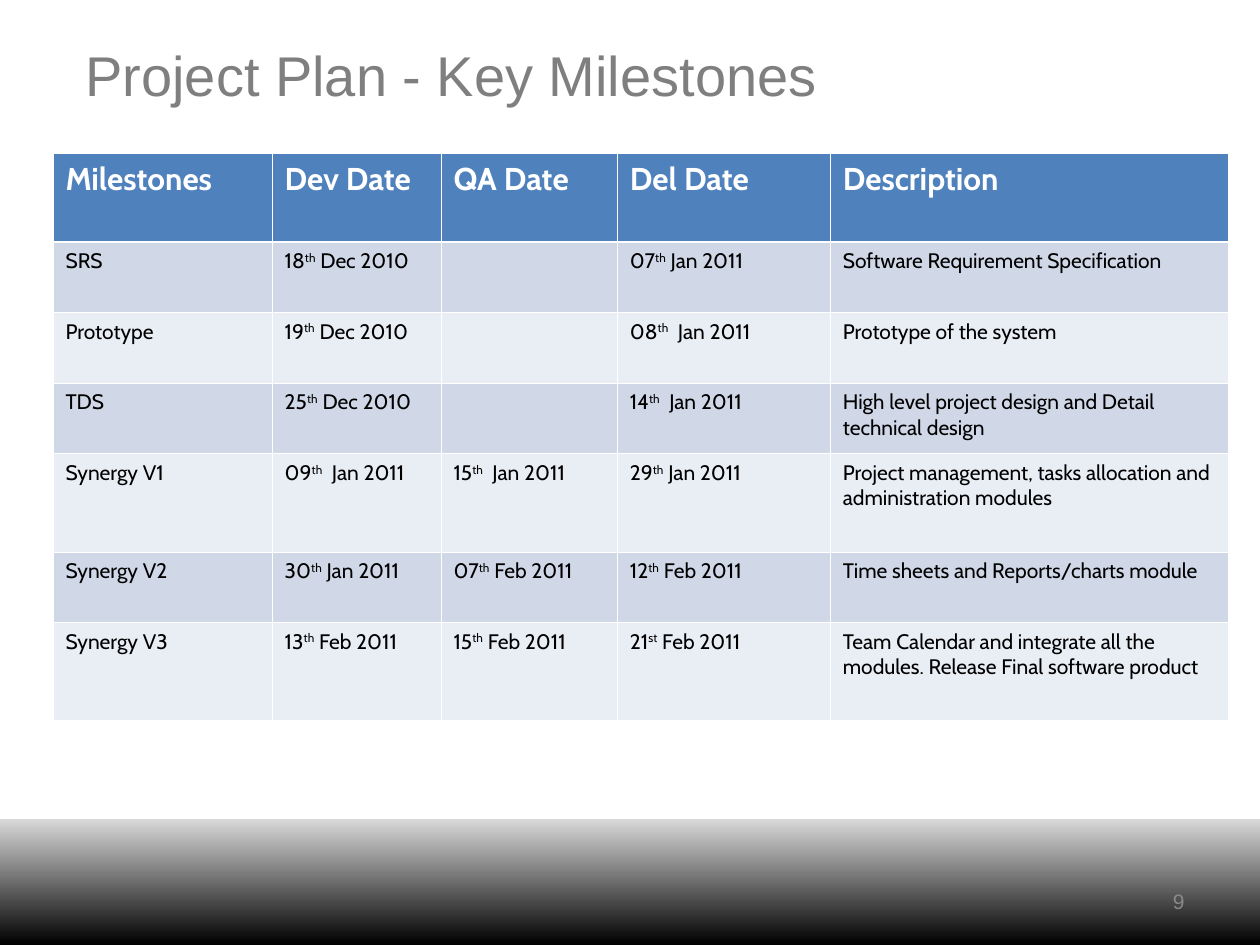
import dataclasses
import itertools

import pptx
import pptx.dml.color
import pptx.enum.shapes
import pptx.enum.text
import pptx.oxml
import pptx.oxml.ns
import pptx.util

WIDE = pptx.util.Inches(10)
HIGH = pptx.util.Inches(7.5)
ALIGN = pptx.enum.text.PP_ALIGN
MIDDLE = pptx.enum.text.MSO_ANCHOR.MIDDLE


@dataclasses.dataclass(frozen=True)
class Box:
    left: float
    top: float
    width: float
    height: float

    def place(self) -> tuple:
        return (across(self.left), down(self.top),
                across(self.width), down(self.height))


@dataclasses.dataclass(frozen=True)
class Style:
    size: int
    face: str
    tone: str
    bold: bool = False


@dataclasses.dataclass(frozen=True)
class Band:
    style: Style
    fill: str
    top: float = 0.45
    bottom: float = 0.45


TITLE = Style(32, "Arial", "7F7F7F")
NUMBER = Style(12, "Arial", "898989")
HEAD = Style(18, "Cabin", "FFFFFF", True)
BODY = Style(12, "Cabin", "000000")

COLS = [17.4, 13.4, 14, 16.9, 31.6]
ROWS = [9.33, 7.47, 7.47, 7.47, 10.4, 7.47, 10.4]
PLAN = [
    ["Milestones", "Dev Date", "QA Date", "Del Date", "Description"],
    ["SRS", "18^th^ Dec 2010", "", "07^th^ Jan 2011",
     "Software Requirement Specification"],
    ["Prototype", "19^th^ Dec 2010", "", "08^th^  Jan 2011",
     "Prototype of the system"],
    ["TDS", "25^th^ Dec 2010", "", "14^th^  Jan 2011",
     "High level project design and Detail technical design"],
    ["Synergy V1", "09^th^  Jan 2011", "15^th^  Jan 2011", "29^th^ Jan 2011",
     "Project management, tasks allocation and administration modules"],
    ["Synergy V2", "30^th^ Jan 2011", "07^th^ Feb 2011", "12^th^ Feb 2011",
     "Time sheets and Reports/charts module"],
    ["Synergy V3", "13^th^ Feb 2011", "15^th^ Feb 2011", "21^st^ Feb 2011",
     "Team Calendar and integrate all the modules. "
     "Release Final software product"],
]


def across(share: float) -> int:
    return round(WIDE * share / 100)


def down(share: float) -> int:
    return round(HIGH * share / 100)


def color(code: str) -> pptx.dml.color.RGBColor:
    return pptx.dml.color.RGBColor.from_string(code)


def write(para, text: str, style: Style) -> None:
    font = para.font
    font.size = pptx.util.Pt(style.size)
    font.name = style.face
    font.bold = style.bold
    font.color.rgb = color(style.tone)
    for spot, part in enumerate(text.split("^")):
        if part:
            run = para.add_run()
            run.text = part
            if spot % 2:
                run._r.get_or_add_rPr().set("baseline", "30000")


def label(slide, box: Box, text: str, style: Style, align) -> None:
    frame = slide.shapes.add_textbox(*box.place()).text_frame
    frame.word_wrap = True
    frame.vertical_anchor = MIDDLE
    para = frame.paragraphs[0]
    para.alignment = align
    write(para, text, style)


def border(cell, side: str, width: float) -> None:
    names = pptx.oxml.ns.nsdecls("a")
    cell._tc.get_or_add_tcPr().append(pptx.oxml.parse_xml(
        f'<a:ln{side} {names} w="{pptx.util.Pt(width)}"><a:solidFill>'
        f'<a:srgbClr val="FFFFFF"/></a:solidFill></a:ln{side}>'))


def paint(cell, text: str, band: Band) -> None:
    write(cell.text_frame.paragraphs[0], text, band.style)
    for side, width in zip("LRTB", (0.45, 0.45, band.top, band.bottom)):
        border(cell, side, width)
    cell.fill.solid()
    cell.fill.fore_color.rgb = color(band.fill)


def grid(slide, box: Box) -> None:
    table = slide.shapes.add_table(len(ROWS), len(COLS), *box.place()).table
    for col, share in zip(table.columns, COLS):
        col.width = across(share)
    for row, share in zip(table.rows, ROWS):
        row.height = down(share)
    dark, light = "D0D8E8", "E9EDF4"
    start = [Band(HEAD, "4F81BD", bottom=1.47), Band(BODY, dark, top=1.47)]
    rest = itertools.cycle([Band(BODY, light), Band(BODY, dark)])
    bands = itertools.chain(start, rest)
    for row, texts, band in zip(table.rows, PLAN, bands):
        for cell, text in zip(row.cells, texts):
            paint(cell, text, band)


def footer(slide, box: Box) -> None:
    kind = pptx.enum.shapes.MSO_SHAPE.RECTANGLE
    shape = slide.shapes.add_shape(kind, *box.place())
    shape.shadow.inherit = False
    shape.line.fill.background()
    shape.fill.gradient()
    shape.fill.gradient_angle = 90
    for stop, code in zip(shape.fill.gradient_stops, ("000000", "D9D9D9")):
        stop.color.rgb = color(code)


def main() -> None:
    deck = pptx.Presentation()
    deck.slide_width, deck.slide_height = WIDE, HIGH
    slide = deck.slides.add_slide(deck.slide_layouts[6])
    footer(slide, Box(0, 86.67, 100, 13.33))
    label(slide, Box(5.8, 0, 79, 15.6), "Project Plan - Key Milestones",
          TITLE, ALIGN.LEFT)
    label(slide, Box(71.7, 92.67, 23.3, 5.33), "9", NUMBER, ALIGN.RIGHT)
    grid(slide, Box(4.2, 16.27, sum(COLS), sum(ROWS)))
    deck.save("out.pptx")


if __name__ == "__main__":
    main()
